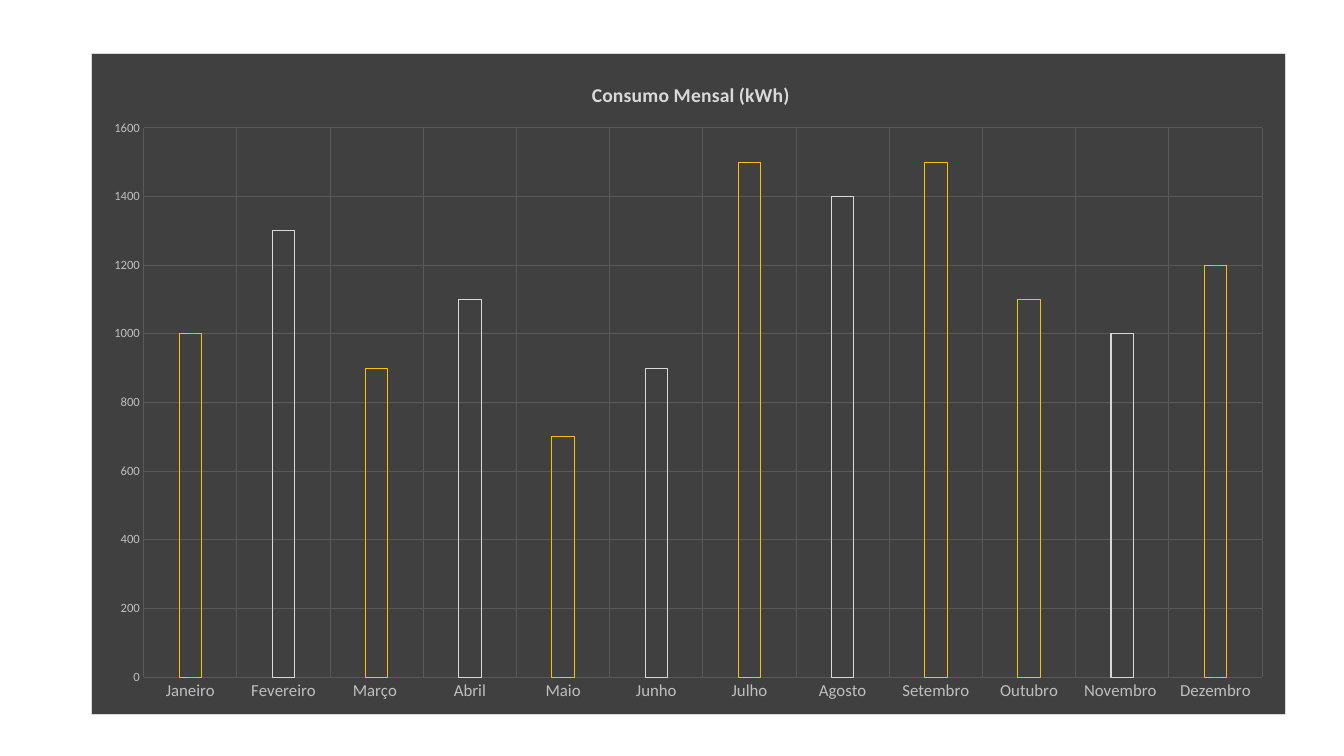
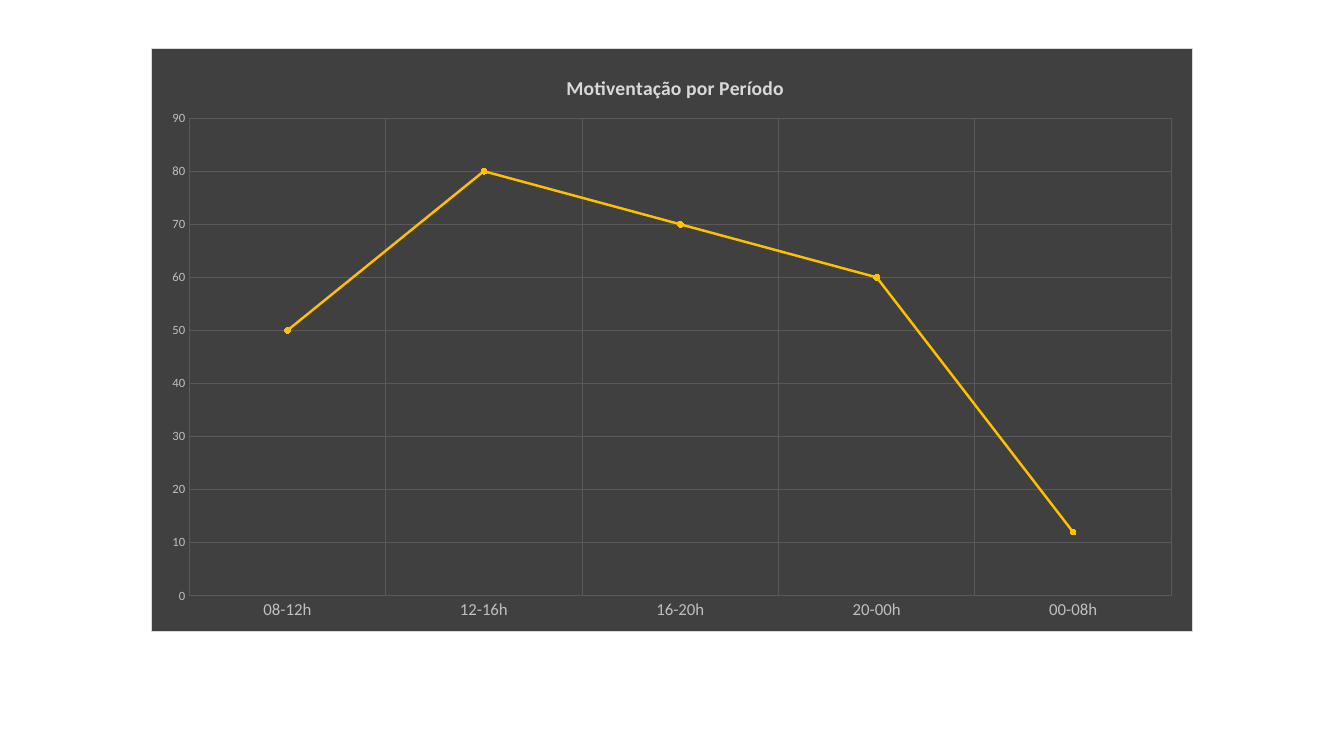
from lxml.etree import SubElement
from pptx import Presentation
from pptx.chart.data import CategoryChartData
from pptx.dml.color import RGBColor
from pptx.enum.chart import XL_CHART_TYPE, XL_MARKER_STYLE, XL_TICK_MARK
from pptx.oxml import parse_xml
from pptx.oxml.ns import nsdecls, qn
from pptx.util import Inches, Pt

FONT = "Calibri"
PANEL = RGBColor(0x40, 0x40, 0x40)
BORDER = RGBColor(0xD9, 0xD9, 0xD9)
GRID = RGBColor(0x59, 0x59, 0x59)
LABEL = RGBColor(0xBF, 0xBF, 0xBF)
GOLD = RGBColor(0xFF, 0xC0, 0x00)

CONSUMPTION = {
    "title": "Consumo Mensal (kWh)",
    "kind": XL_CHART_TYPE.COLUMN_CLUSTERED,
    "frame": (0.9, 0.53, 11.86, 6.56),
    "title_at": (0.416, 0.036),
    "plot_at": (0.044, 0.112, 0.936, 0.832),
    "scale": (1600, 200),
    "values": {
        "Janeiro": 1000, "Fevereiro": 1300, "Março ": 900, "Abril": 1100,
        "Maio": 700, "Junho": 900, "Julho": 1500, "Agosto": 1400,
        "Setembro": 1500, "Outubro": 1100, "Novembro ": 1000, "Dezembro": 1200,
    },
}
PALE_MONTHS = ("Fevereiro", "Abril", "Junho", "Agosto", "Novembro ")

MOVEMENT = {
    "title": "Motiventação por Período",
    "kind": XL_CHART_TYPE.LINE_MARKERS_STACKED,
    "frame": (1.5, 0.48, 10.33, 5.79),
    "title_at": (0.395, 0.038),
    "plot_at": (0.036, 0.119, 0.944, 0.82),
    "scale": (90, 10),
    "values": {"08-12h": 50, "12-16h": 80, "16-20h": 70, "20-00h": 60, "00-08h": 12},
}


def set_font(font, size, color, bold=False):
    font.name = FONT
    font.size = Pt(size)
    font.bold = bold
    font.color.rgb = color


def set_line(line, color, width=0.75):
    line.color.rgb = color
    line.width = Pt(width)


def place(parent, index, position, inner=False):
    for layout in parent.findall(qn("c:layout")):
        parent.remove(layout)
    layout = parse_xml(f"<c:layout {nsdecls('c')}/>")
    parent.insert(index, layout)
    manual = SubElement(layout, qn("c:manualLayout"))
    settings = [("layoutTarget", "inner")] if inner else []
    settings += [("xMode", "edge"), ("yMode", "edge")]
    settings += zip("xywh", position)
    for name, value in settings:
        SubElement(manual, qn(f"c:{name}")).set("val", str(value))


def fill_panel(chart):
    chart.font._element.getparent()
    panel = parse_xml(
        f"<c:spPr {nsdecls('c', 'a')}>"
        f'<a:solidFill><a:srgbClr val="{PANEL}"/></a:solidFill>'
        f'<a:ln w="{Pt(0.75)}"><a:solidFill><a:srgbClr val="{BORDER}"/></a:solidFill></a:ln>'
        "</c:spPr>"
    )
    chart._chartSpace.find(qn("c:chart")).addnext(panel)


def style_axis(axis, size):
    axis.major_tick_mark = axis.minor_tick_mark = XL_TICK_MARK.NONE
    axis.format.line.fill.background()
    axis.has_major_gridlines = True
    set_line(axis.major_gridlines.format.line, GRID)
    set_font(axis.tick_labels.font, size, LABEL)


def add_chart_slide(presentation, content):
    slide = presentation.slides.add_slide(presentation.slide_layouts[6])
    data = CategoryChartData()
    data.categories = list(content["values"])
    data.add_series("Series 1", list(content["values"].values()))
    frame = [Inches(length) for length in content["frame"]]
    chart = slide.shapes.add_chart(content["kind"], *frame, data).chart
    chart.has_legend = False
    chart.font.name = FONT
    chart.font.size = Pt(10)
    fill_panel(chart)

    chart.has_title = True
    run = chart.chart_title.text_frame.paragraphs[0].add_run()
    run.text = content["title"]
    set_font(run.font, 14, BORDER, bold=True)
    chart.chart_title.include_in_layout = False
    place(chart.chart_title._element, 1, content["title_at"])
    place(chart._chartSpace.chart.plotArea, 0, content["plot_at"], inner=True)

    style_axis(chart.category_axis, 12)
    style_axis(chart.value_axis, 9)
    chart.value_axis.minimum_scale = 0
    chart.value_axis.maximum_scale, chart.value_axis.major_unit = content["scale"]
    plot = chart.plots[0]
    plot.vary_by_categories = False
    return plot


presentation = Presentation()
presentation.slide_width = Inches(13.33)
presentation.slide_height = Inches(7.5)

columns = add_chart_slide(presentation, CONSUMPTION)
columns.gap_width = 315
columns.overlap = -40
months = columns.series[0]
months.format.fill.background()
set_line(months.format.line, GOLD)
for index, month in enumerate(CONSUMPTION["values"]):
    if month in PALE_MONTHS:
        point = months.points[index].format
        point.fill.background()
        set_line(point.line, BORDER)

periods = add_chart_slide(presentation, MOVEMENT).series[0]
periods.smooth = False
set_line(periods.format.line, GOLD, 1.75)
periods.marker.style = XL_MARKER_STYLE.CIRCLE
periods.marker.size = 4
periods.marker.format.fill.solid()
periods.marker.format.fill.fore_color.rgb = GOLD
set_line(periods.marker.format.line, GOLD)

presentation.save("out.pptx")
